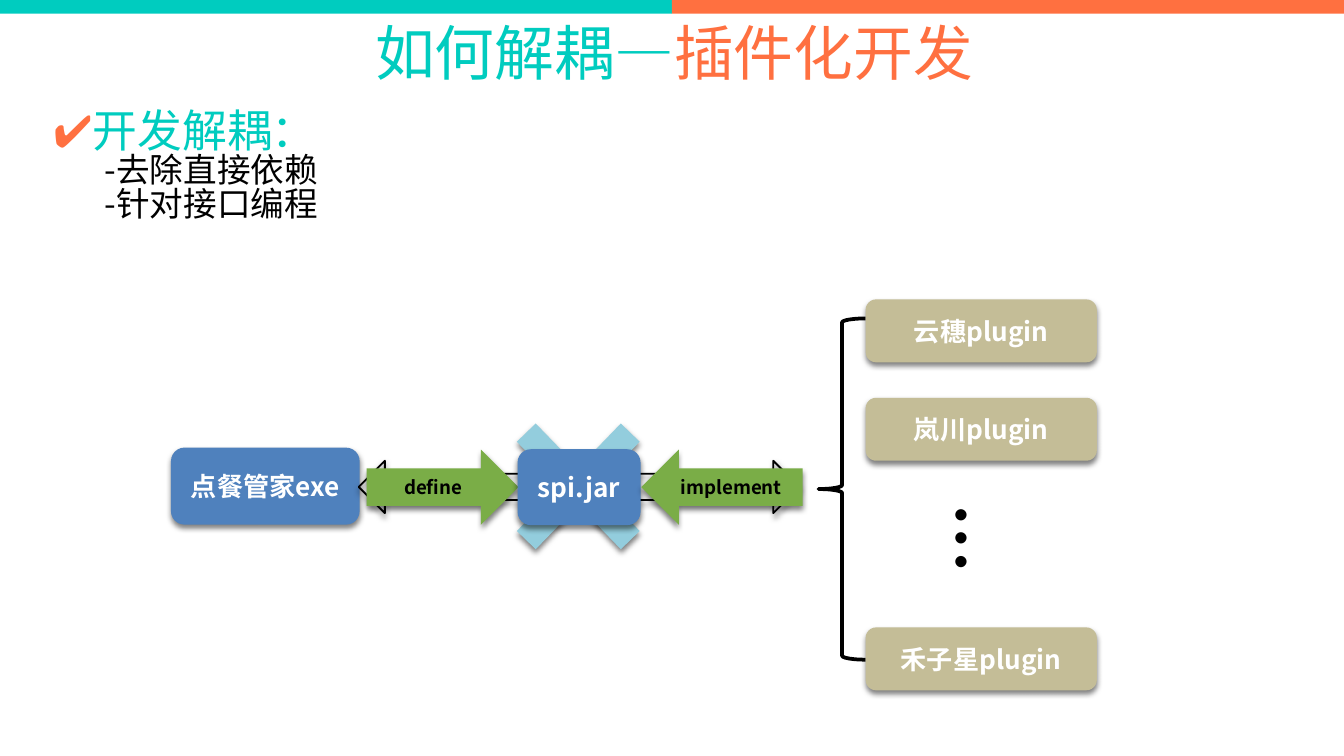
from lxml import etree
from pptx import Presentation
from pptx import util as u
from pptx.dml.color import RGBColor
from pptx.enum import shapes, text
from pptx.oxml import ns

COLORS = {
    "teal": "00CCBF", "orange": "FF7040", "blue": "4F81BD", "khaki": "C4BD97",
    "sky": "93CDDD", "green": "7AAD47", "black": "000000", "white": "FFFFFF",
}
CJK = "Noto Sans CJK SC"
KIND = shapes.MSO_SHAPE
ALIGN = text.PP_ALIGN


def rgb(name):
    return RGBColor.from_string(COLORS[name])


def place(box):
    return [u.Cm(length) for length in box]


def add_run(paragraph, words, size, color, bold=False, face=CJK):
    run = paragraph.add_run()
    run.text = words
    run.font.size = u.Pt(size)
    run.font.bold = bold
    run.font.name = face
    run.font.color.rgb = rgb(color)
    east_asian = etree.SubElement(run.font._element, ns.qn("a:ea"))
    east_asian.set("typeface", face)


def set_frame(frame, inset, anchor=text.MSO_ANCHOR.MIDDLE, wrap=True):
    frame.margin_left = frame.margin_right = u.Cm(inset)
    frame.margin_top = frame.margin_bottom = u.Cm(inset)
    frame.vertical_anchor = anchor
    frame.word_wrap = wrap


def add_shadow(figure):
    effects = figure._element.spPr.find(ns.qn("a:effectLst"))
    shadow = etree.SubElement(
        effects, ns.qn("a:outerShdw"), blurRad=str(u.Pt(3)), dist=str(u.Pt(2)),
        dir="5400000", algn="ctr", rotWithShape="0")
    tone = etree.SubElement(shadow, ns.qn("a:srgbClr"), val=COLORS["black"])
    etree.SubElement(tone, ns.qn("a:alpha"), val="50000")


def add_figure(slide, kind, box, fill=None, line=None, width=1, shadow=True):
    figure = slide.shapes.add_shape(kind, *place(box))
    figure.shadow.inherit = False
    if shadow:
        add_shadow(figure)
    if fill:
        figure.fill.solid()
        figure.fill.fore_color.rgb = rgb(fill)
    else:
        figure.fill.background()
    if line:
        figure.line.color.rgb = rgb(line)
        figure.line.width = u.Pt(width)
    else:
        figure.line.fill.background()
    return figure


def add_label(figure, words, size=14, color="white"):
    set_frame(figure.text_frame, 0.15)
    paragraph = figure.text_frame.paragraphs[0]
    paragraph.alignment = ALIGN.CENTER
    add_run(paragraph, words, size, color, bold=True)


def add_title(slide):
    frame = slide.shapes.add_textbox(*place((7.09, 0.3, 14.15, 1.37))).text_frame
    set_frame(frame, 0)
    add_run(frame.paragraphs[0], "如何解耦—", 32, "teal")
    add_run(frame.paragraphs[0], "插件化开发", 32, "orange")


def add_goals(slide):
    frame = slide.shapes.add_textbox(*place((0.91, 2.01, 8.2, 2.77))).text_frame
    set_frame(frame, 0.1, text.MSO_ANCHOR.TOP)
    heading = frame.paragraphs[0]
    add_run(heading, "✔", 24, "orange")
    add_run(heading, "开发解耦：", 24, "teal")
    for goal in ("-去除直接依赖", "-针对接口编程"):
        paragraph = frame.add_paragraph()
        paragraph._p.get_or_add_pPr().set("indent", str(u.Cm(0.97)))
        add_run(paragraph, goal, 18, "black")
    for paragraph in frame.paragraphs:
        paragraph.alignment = ALIGN.JUSTIFY
        paragraph.line_spacing = 0.83


def add_plugins(slide):
    add_figure(slide, KIND.LEFT_BRACE, (15.47, 6.02, 0.89, 6.45),
               line="black", width=2, shadow=False)
    for name, top in (("云穗", 5.66), ("岚川", 7.52), ("禾子星", 11.86)):
        plugin = add_figure(slide, KIND.ROUNDED_RECTANGLE,
                            (16.36, top, 4.37, 1.19), "khaki")
        add_label(plugin, name + "plugin")
    frame = slide.shapes.add_textbox(*place((17.58, 9.42, 2.41, 2.06))).text_frame
    set_frame(frame, 0.15, wrap=False)
    frame._txBody.bodyPr.set("vert", "eaVert")
    frame.paragraphs[0].alignment = ALIGN.CENTER
    add_run(frame.paragraphs[0], "…", 50, "black", face="Calibri")


def add_interface(slide):
    cross = add_figure(slide, KIND.MATH_MULTIPLY, (9.04, 7.24, 3.78, 3.91), "sky")
    cross.adjustments[0] = 0.131
    define = add_figure(slide, KIND.RIGHT_ARROW, (6.93, 8.5, 2.87, 1.42), "green")
    add_label(define, "define", 10, "black")
    jar = add_figure(slide, KIND.ROUNDED_RECTANGLE, (9.8, 8.51, 2.29, 1.4),
                     "blue", "blue")
    add_label(jar, "spi.jar")
    implement = add_figure(slide, KIND.LEFT_ARROW, (12.12, 8.5, 3.05, 1.42), "green")
    add_label(implement, "implement", 10, "black")


def main():
    deck = Presentation()
    deck.slide_width, deck.slide_height = u.Cm(25.4), u.Cm(14.29)
    slide = deck.slides.add_slide(deck.slide_layouts[6])
    for column, color in enumerate(("teal", "orange")):
        add_figure(slide, KIND.RECTANGLE, (12.7 * column, 0, 12.7, 0.26),
                   color, shadow=False)
    add_goals(slide)
    manager = add_figure(slide, KIND.ROUNDED_RECTANGLE, (3.25, 8.48, 3.53, 1.42),
                         "blue", "blue")
    add_label(manager, "点餐管家exe")
    add_figure(slide, KIND.LEFT_RIGHT_ARROW, (6.78, 8.71, 8.33, 0.99), line="black")
    add_plugins(slide)
    add_interface(slide)
    add_title(slide)
    deck.save("out.pptx")


if __name__ == "__main__":
    main()
